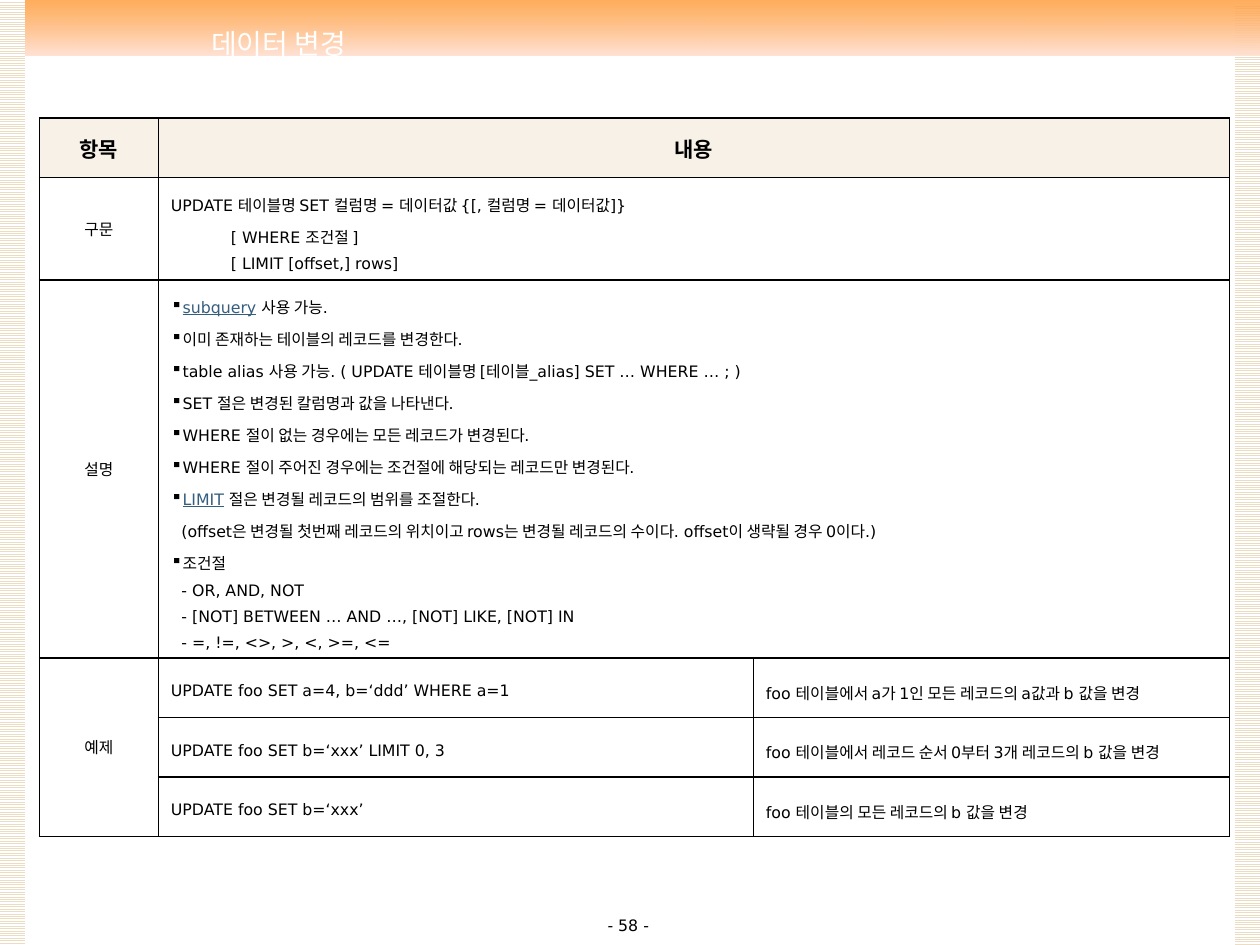
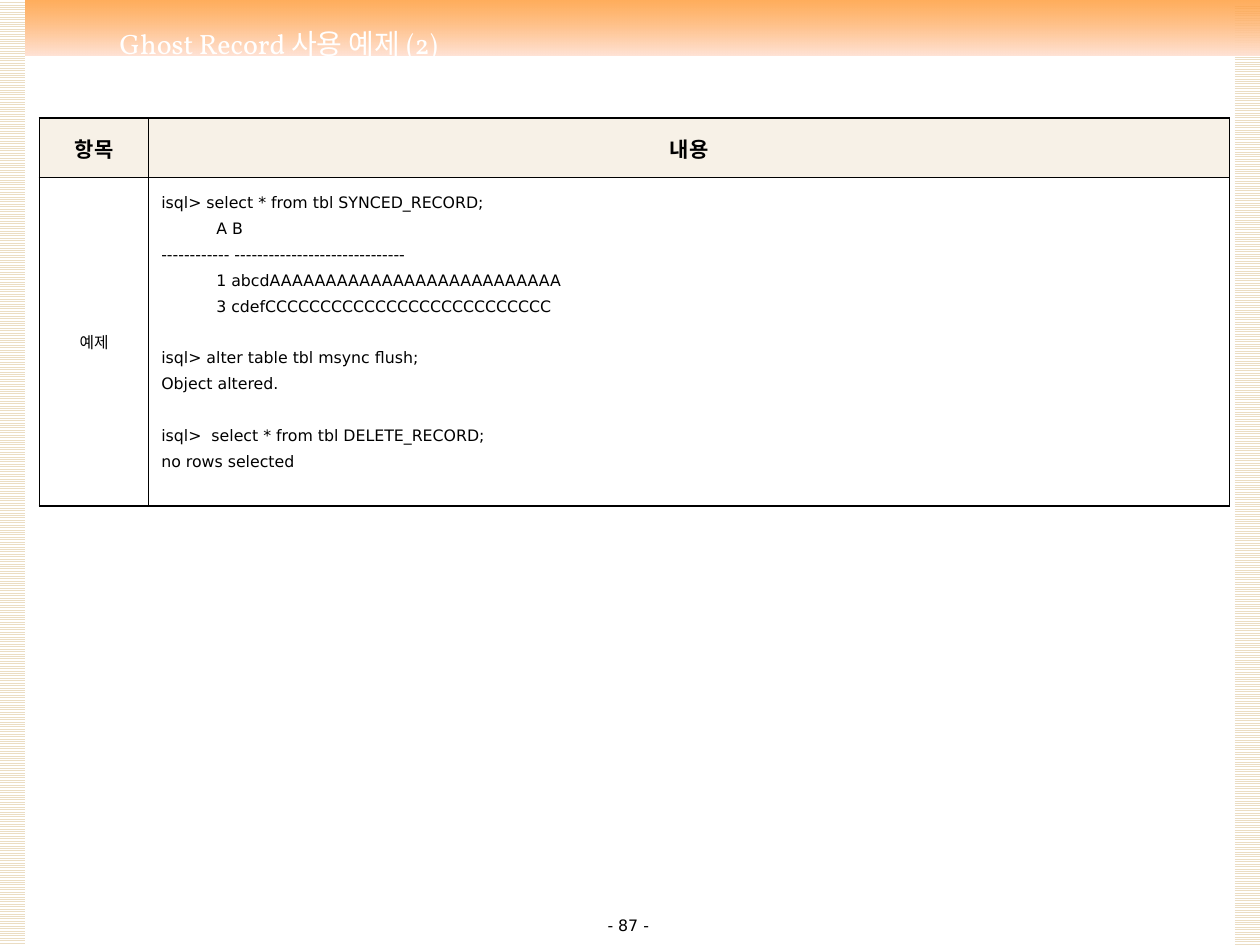
from dataclasses import dataclass

from lxml.etree import SubElement
from pptx import Presentation
from pptx.dml.color import RGBColor
from pptx.enum.dml import MSO_PATTERN
from pptx.enum.shapes import MSO_SHAPE
from pptx.enum.text import MSO_ANCHOR, PP_ALIGN
from pptx.oxml.ns import qn
from pptx.util import Pt


@dataclass(frozen=True)
class Theme:
    white: RGBColor = RGBColor(0xFF, 0xFF, 0xFF)
    black: RGBColor = RGBColor(0, 0, 0)
    stripe: RGBColor = RGBColor(0xEB, 0xDD, 0xC3)
    band_top: RGBColor = RGBColor(0xFF, 0x99, 0x33)
    band_bottom: RGBColor = RGBColor(0xFF, 0xE3, 0xD6)
    header: RGBColor = RGBColor(0xF7, 0xF1, 0xE7)
    link: RGBColor = RGBColor(0x34, 0x5D, 0x7E)
    title_font: str = "Vollkorn"
    body_font: str = "DejaVu Sans"
    title_size: Pt = Pt(16)
    header_size: Pt = Pt(12)
    body_size: Pt = Pt(9)


theme = Theme()
LINE = 14.7  # height of one body line
ROW = 34
INDENT = Pt(6)


def style_paragraph(paragraph, font_name, size, color, align=PP_ALIGN.LEFT, bold=False):
    paragraph.alignment = align
    for span in paragraph.runs:
        span.font.name = font_name
        span.font.size = size
        span.font.color.rgb = color
        span.font.bold = bold


def fill_cell(cell, lines, header=False, centred=False):
    """Write (kind, linked word, text) lines into a bordered cell."""
    cell.vertical_anchor = MSO_ANCHOR.MIDDLE
    properties = cell._tc.get_or_add_tcPr()
    for side in ("lnL", "lnR", "lnT", "lnB"):
        border = SubElement(properties, qn(f"a:{side}"), w=str(Pt(1)))
        color = SubElement(border, qn("a:solidFill"))
        SubElement(color, qn("a:srgbClr"), val=str(theme.black))
    if header:
        cell.fill.solid()
        cell.fill.fore_color.rgb = theme.header
    else:
        cell.fill.background()

    frame = cell.text_frame
    frame.text = "\n".join(linked + text for kind, linked, text in lines)
    for paragraph, (kind, linked, text) in zip(frame.paragraphs, lines):
        if not centred:
            paragraph.line_spacing = 1.4
        if kind == "gap":
            paragraph.space_before = Pt(LINE)
        if kind in ("bullet", "detail"):
            layout = paragraph._p.get_or_add_pPr()
            layout.set("marL", str(INDENT))
            if kind == "bullet":
                layout.set("indent", str(-INDENT))
                color = SubElement(layout, qn("a:buClr"))
                SubElement(color, qn("a:srgbClr"), val=str(theme.black))
                SubElement(layout, qn("a:buChar"), char="▪")
        if linked:
            paragraph.runs[0].text = linked
            paragraph.add_run().text = text
        style_paragraph(paragraph, theme.body_font,
                        theme.header_size if header else theme.body_size, theme.black,
                        PP_ALIGN.CENTER if centred else PP_ALIGN.LEFT, header)
        if linked:
            paragraph.runs[0].font.color.rgb = theme.link
            paragraph.runs[0].font.underline = True


# Content: each line is (kind, linked word, text)
syntax = [
    ("code", "", "UPDATE 테이블명 SET 컬럼명 = 데이터값 {[, 컬럼명 = 데이터값]}"),
    ("code", "", "            [ WHERE 조건절 ]"),
    ("code", "", "            [ LIMIT [offset,] rows]"),
]
description = [
    ("bullet", "subquery", " 사용 가능."),
    ("bullet", "", "이미 존재하는 테이블의 레코드를 변경한다."),
    ("bullet", "", "table alias 사용 가능. ( UPDATE 테이블명 [테이블_alias] SET … WHERE … ; )"),
    ("bullet", "", "SET 절은 변경된 칼럼명과 값을 나타낸다."),
    ("bullet", "", "WHERE 절이 없는 경우에는 모든 레코드가 변경된다."),
    ("bullet", "", "WHERE 절이 주어진 경우에는 조건절에 해당되는 레코드만 변경된다."),
    ("bullet", "LIMIT", " 절은 변경될 레코드의 범위를 조절한다."),
    ("detail", "", "(offset은 변경될 첫번째 레코드의 위치이고 rows는 변경될 레코드의 수이다. "
                   "offset이 생략될 경우 0이다.)"),
    ("bullet", "", "조건절"),
    ("detail", "", "- OR, AND, NOT"),
    ("detail", "", "- [NOT] BETWEEN … AND …, [NOT] LIKE, [NOT] IN"),
    ("detail", "", "- =, !=, <>, >, <, >=, <="),
]
examples = [
    ("UPDATE foo SET a=4, b=‘ddd’ WHERE a=1",
     "foo 테이블에서 a가 1인 모든 레코드의 a값과 b 값을 변경"),
    ("UPDATE foo SET b=‘xxx’ LIMIT 0, 3",
     "foo 테이블에서 레코드 순서 0부터 3개 레코드의 b 값을 변경"),
    ("UPDATE foo SET b=‘xxx’", "foo 테이블의 모든 레코드의 b 값을 변경"),
]
session = [
    ("code", "", "isql> select * from tbl SYNCED_RECORD;"),
    ("code", "", "           A B"),
    ("code", "", "-" * 12 + " " + "-" * 30),
    ("code", "", "           1 abcd" + "A" * 26),
    ("code", "", "           3 cdef" + "C" * 26),
    ("gap", "", "isql> alter table tbl msync flush;"),
    ("code", "", "Object altered."),
    ("gap", "", "isql>  select * from tbl DELETE_RECORD;"),
    ("code", "", "no rows selected"),
]
example_rows = [["예제" if number == 0 else None]
                + [[("code", "", text)] for text in pair]
                for number, pair in enumerate(examples)]

# Pages: title, number, column widths, row heights, rows, merges (from, to)
pages = [
    ("데이터 변경", 58, [68, 340, 272], [ROW, 58.5, 216, ROW, ROW, ROW],
     [["항목", "내용", None], ["구문", syntax, None], ["설명", description, None]]
     + example_rows,
     [((0, 1), (0, 2)), ((1, 1), (1, 2)), ((2, 1), (2, 2)), ((3, 0), (5, 0))]),
    ("Ghost Record 사용 예제 (2)", 87, [62.5, 617.5], [ROW, 184.5],
     [["항목", "내용"], ["예제", session]], []),
]

deck = Presentation()
deck.slide_width, deck.slide_height = Pt(720), Pt(540)

for title, number, widths, heights, rows, merges in pages:
    page = deck.slides.add_slide(deck.slide_layouts[6])
    page.background.fill.solid()
    page.background.fill.fore_color.rgb = theme.white

    # Striped margins with the orange band between them in depth
    for part, left, top, width, height in (
        ("stripes", 705.6, 2, 15, 538),
        ("band", -0.7, 0, 721.4, 32),
        ("stripes", -0.7, 0, 15, 540),
    ):
        shape = page.shapes.add_shape(MSO_SHAPE.RECTANGLE, Pt(left), Pt(top),
                                      Pt(width), Pt(height))
        shape.shadow.inherit = False
        shape.line.fill.background()
        if part == "stripes":
            shape.fill.patterned()
            shape.fill.pattern = MSO_PATTERN.LIGHT_HORIZONTAL
            shape.fill.fore_color.rgb = theme.stripe
            shape.fill.back_color.rgb = theme.white
        else:
            shape.fill.gradient()
            shape.fill.gradient_angle = 270
            for stop, color in zip(shape.fill.gradient_stops,
                                   (theme.band_top, theme.band_bottom)):
                stop.color.rgb = color
            first_color = shape._element.spPr.find(".//" + qn("a:srgbClr"))
            SubElement(first_color, qn("a:alpha"), val="80000")

    # Page number and title
    for text, place, font_name, size, color, anchor in (
        (f"- {number} -", (275, 520, 168, 13.7), theme.body_font,
         theme.body_size, theme.black, MSO_ANCHOR.TOP),
        (title, (20, 11.5, 278.6, 26), theme.title_font,
         theme.title_size, theme.white, MSO_ANCHOR.MIDDLE),
    ):
        box = page.shapes.add_textbox(*map(Pt, place))
        box.text_frame.word_wrap = True
        box.text_frame.vertical_anchor = anchor
        box.text_frame.text = text
        style_paragraph(box.text_frame.paragraphs[0], font_name, size, color,
                        PP_ALIGN.CENTER)

    # Table
    table = page.shapes.add_table(len(rows), len(widths), Pt(22.5), Pt(67.5),
                                  Pt(sum(widths)), Pt(sum(heights))).table
    table.first_row = table.horz_banding = False
    for column, width in zip(table.columns, widths):
        column.width = Pt(width)
    for row, height in zip(table.rows, heights):
        row.height = Pt(height)
    for row_index, row in enumerate(rows):
        for column_index, content in enumerate(row):
            label = isinstance(content, str)
            lines = [("label", "", content)] if label else content or []
            fill_cell(table.cell(row_index, column_index), lines, row_index == 0, label)
    for start, end in merges:
        table.cell(*start).merge(table.cell(*end))
    if rows[-1][-1] is session:
        table.cell(1, 1).margin_bottom = Pt(3.6 + LINE)

deck.save("out.pptx")
